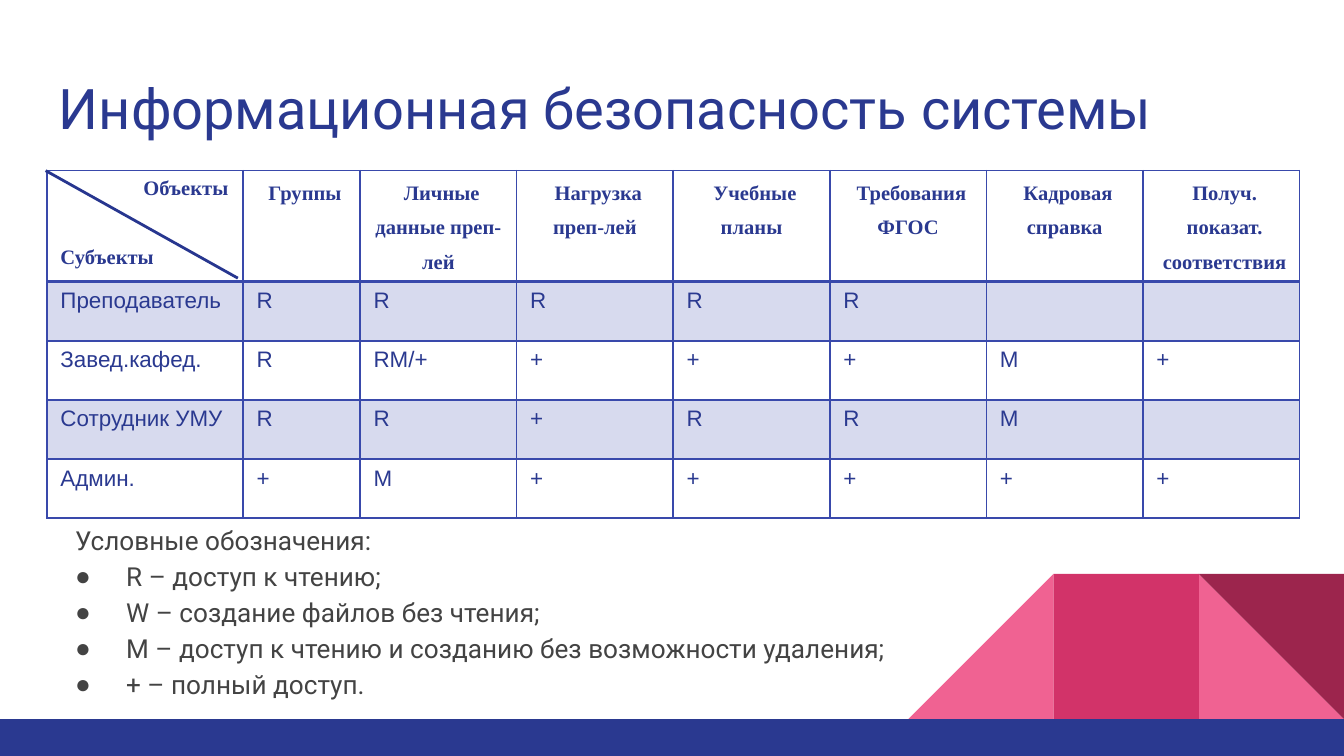
from pptx import Presentation
from pptx.enum.shapes import MSO_CONNECTOR as Connector, MSO_SHAPE as Shape
from pptx.enum.text import MSO_ANCHOR as Anchor, PP_ALIGN as Align
from pptx.dml.color import RGBColor
from pptx.oxml.ns import qn
from pptx.util import Inches, Pt
from lxml.etree import SubElement

NAVY, INDIGO, GRAY = "2A3990", "3949AB", "434343"
PINK, ROSE, WINE = "F06292", "D23369", "9C254D"

OBJECTS = ["Группы", "Личные данные преп-лей", "Нагрузка преп-лей", "Учебные планы",
           "Требования ФГОС", "Кадровая справка", "Получ.\nпоказат.\nсоответствия"]
RIGHTS = [
    ["Преподаватель", "R", "R", "R", "R", "R", "", ""],
    ["Завед.кафед.", "R", "RM/+", "+", "+", "+", "M", "+"],
    ["Сотрудник УМУ", "R", "R", "+", "R", "R", "M", ""],
    ["Админ.", "+", "M", "+", "+", "+", "+", "+"],
]
LEGEND = ["R – доступ к чтению;", "W – создание файлов без чтения;",
          "M – доступ к чтению и созданию без возможности удаления;", "+ – полный доступ."]


def color(value):
    return RGBColor.from_string(value)


def write(paragraph, text, size=12, font="Arial", ink=NAVY, bold=False, align=Align.LEFT,
          spacing=None, before=0, margin=0, indent=0, bullet=None):
    """Put formatted text into a paragraph."""
    paragraph.alignment = align
    paragraph.space_before = Pt(before)
    if spacing:
        paragraph.line_spacing = spacing
    properties = paragraph._p.get_or_add_pPr()
    properties.set("marL", str(Inches(margin)))
    properties.set("indent", str(Inches(indent)))
    if bullet:
        mark_color = SubElement(properties, qn("a:buClr"))
        SubElement(mark_color, qn("a:srgbClr"), val=ink)
        SubElement(properties, qn("a:buFont"), typeface="Arial")
        SubElement(properties, qn("a:buChar"), char=bullet)
    run = paragraph.add_run()
    run.text = text
    run.font.size = Pt(size)
    run.font.name = font
    run.font.bold = bold
    run.font.color.rgb = color(ink)


def add_text_frame(slide, left, top, width, height):
    box = slide.shapes.add_textbox(Inches(left), Inches(top), Inches(width), Inches(height))
    frame = box.text_frame
    frame.word_wrap = True
    frame.vertical_anchor = Anchor.TOP
    frame.margin_left = frame.margin_right = Inches(0.1)
    frame.margin_top = frame.margin_bottom = Inches(0.1)
    return frame


def add_block(slide, kind, left, top, width, height, fill, rotation=0, flip=False):
    shape = slide.shapes.add_shape(kind, Inches(left), Inches(top), Inches(width), Inches(height))
    shape.shadow.inherit = False
    shape.fill.solid()
    shape.fill.fore_color.rgb = color(fill)
    shape.line.fill.background()
    shape.rotation = rotation
    if flip:
        shape._element.spPr.xfrm.set("flipH", "1")


def add_decoration(slide, left, top, side):
    """Three square tiles above the bottom bar."""
    middle, right = left + side, left + 2 * side
    add_block(slide, Shape.RIGHT_TRIANGLE, right, top, side, side, PINK)
    add_block(slide, Shape.RIGHT_TRIANGLE, left, top, side, side, PINK, flip=True)
    add_block(slide, Shape.RECTANGLE, middle, top, side, side, ROSE)
    add_block(slide, Shape.RIGHT_TRIANGLE, right, top, side, side, WINE, rotation=180)
    add_block(slide, Shape.RECTANGLE, 0, top + side, 10, 0.28, NAVY)


def add_title(slide, left, top, width, height):
    frame = add_text_frame(slide, left, top, width, height)
    write(frame.paragraphs[0], "Информационная безопасность системы", size=30, font="Roboto")


def add_legend(slide, left, top, width, height):
    frame = add_text_frame(slide, left, top, width, height)
    style = dict(size=14, font="Roboto", ink=GRAY, spacing=1.15)
    write(frame.paragraphs[0], "Условные обозначения:", margin=0.12, **style)
    for text in LEGEND:
        write(frame.add_paragraph(), text, margin=0.5, indent=-0.38, bullet="●", **style)


def style_cell(cell, top_width=1, bottom_width=1, shaded=False):
    """Set the borders, fill and margins of a cell."""
    properties = cell._tc.get_or_add_tcPr()
    for tag, width in (("lnL", 1), ("lnR", 1), ("lnT", top_width), ("lnB", bottom_width)):
        line = SubElement(properties, qn(f"a:{tag}"), w=str(Pt(width)))
        SubElement(SubElement(line, qn("a:solidFill")), qn("a:srgbClr"), val=INDIGO)
    if shaded:
        cell.fill.solid()
        cell.fill.fore_color.rgb = color(INDIGO)
        tint = properties.find(qn("a:solidFill")).find(qn("a:srgbClr"))
        SubElement(tint, qn("a:alpha"), val="20000")
    else:
        cell.fill.background()
    cell.margin_left = cell.margin_right = Inches(0.1)
    cell.margin_top = cell.margin_bottom = Inches(0.05)


def add_access_table(slide, left, top):
    widths = [1.46, 0.87] + [6.99 / 6] * 6
    heights = [0.78] + [0.44] * 4
    table = slide.shapes.add_table(len(heights), len(widths), Inches(left), Inches(top),
                                   Inches(sum(widths)), Inches(sum(heights))).table
    table.first_row = table.horz_banding = False
    for column, width in zip(table.columns, widths):
        column.width = Inches(width)
    for row, height in zip(table.rows, heights):
        row.height = Inches(height)

    # Header row
    header = dict(size=11, font="Times New Roman", bold=True)
    corner = table.cell(0, 0)
    style_cell(corner, bottom_width=2)
    corner.margin_right = Inches(0.11)
    corner.margin_bottom = 0
    write(corner.text_frame.paragraphs[0], "Объекты", align=Align.RIGHT, **header)
    write(corner.text_frame.add_paragraph(), "Субъекты", before=24.5, **header)
    for index, name in enumerate(OBJECTS, 1):
        cell = table.cell(0, index)
        style_cell(cell, bottom_width=2)
        cell.margin_left = cell.margin_right = Inches(0.07)
        cell.margin_top = cell.margin_bottom = 0
        for number, text in enumerate(name.split("\n")):
            frame = cell.text_frame
            paragraph = frame.add_paragraph() if number else frame.paragraphs[0]
            write(paragraph, text, align=Align.CENTER, spacing=1.5, indent=0.05, **header)

    # Access rights
    for row, values in enumerate(RIGHTS, 1):
        for index, value in enumerate(values):
            cell = table.cell(row, index)
            style_cell(cell, top_width=2 if row == 1 else 1, shaded=row % 2 == 1)
            if value:
                write(cell.text_frame.paragraphs[0], value)

    # Diagonal of the corner cell
    diagonal = slide.shapes.add_connector(Connector.STRAIGHT, Inches(left - 0.01), Inches(top),
                                          Inches(left + 1.42), Inches(top + 0.8))
    diagonal.line.color.rgb = color("27368F")
    diagonal.line.width = Pt(1.5)
    SubElement(diagonal._element.spPr, qn("a:effectLst"))


def main():
    presentation = Presentation()
    presentation.slide_width = Inches(10)
    presentation.slide_height = Inches(10 * 9 / 16)
    slide = presentation.slides.add_slide(presentation.slide_layouts[6])
    add_decoration(slide, 6.76, 4.27, 1.08)
    add_title(slide, 0.34, 0.45, 9.32, 0.66)
    add_legend(slide, 0.34, 3.77, 9.32, 1.53)
    add_access_table(slide, 0.35, 1.27)
    presentation.save("out.pptx")


if __name__ == "__main__":
    main()
